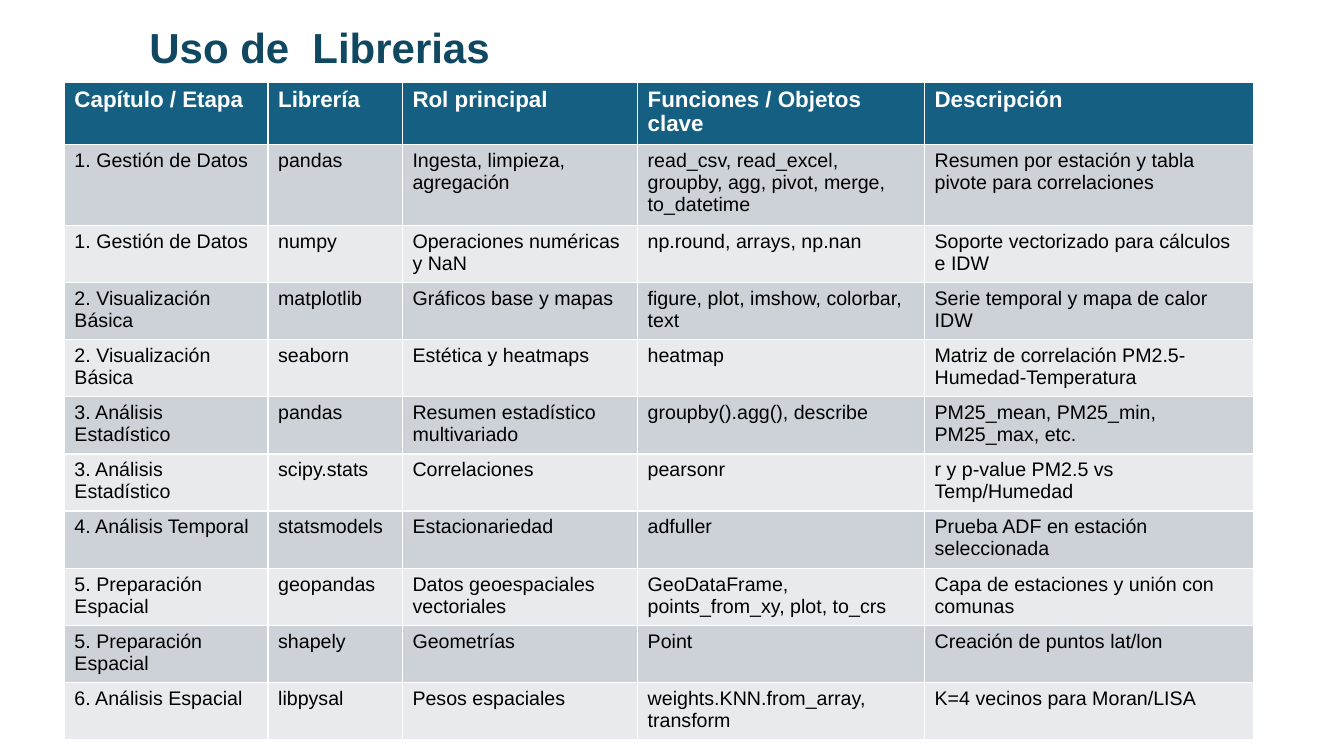
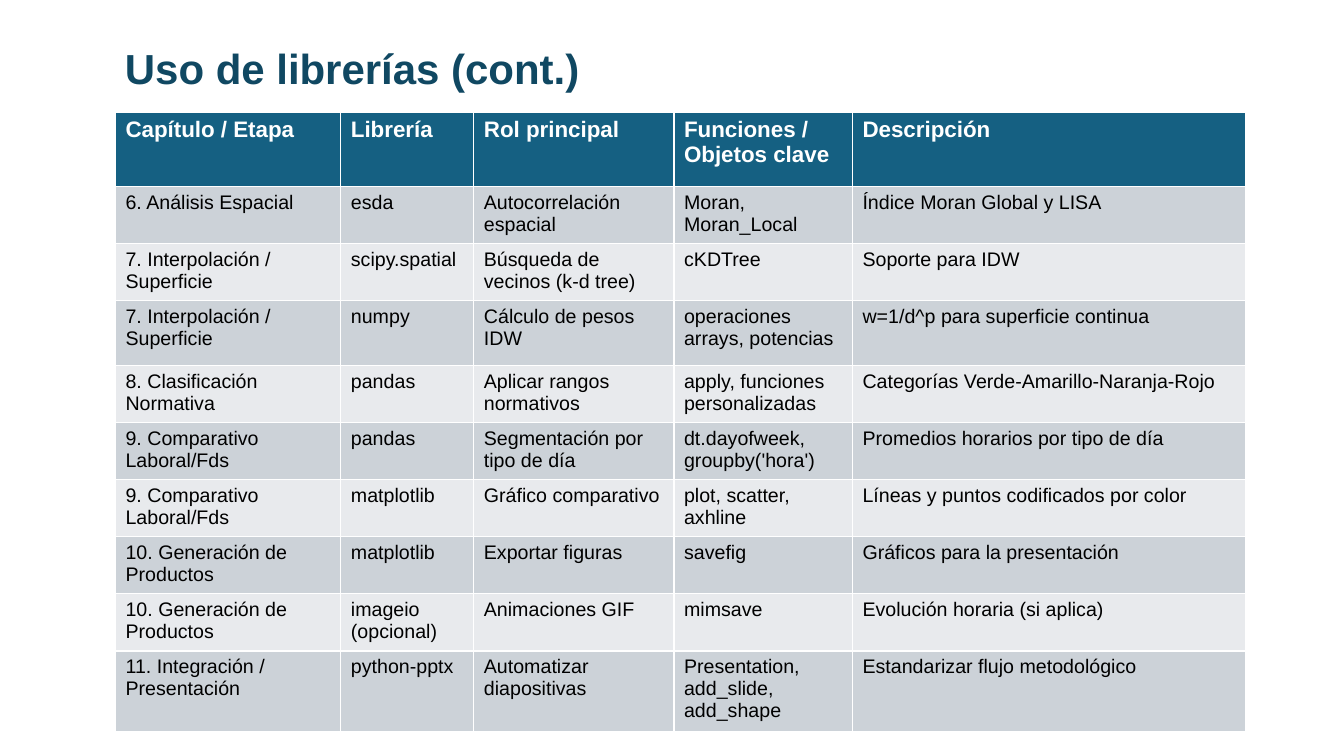
import pptx
import pptx.dml.color
import pptx.enum.text
import pptx.util

Pt = pptx.util.Pt

FONT = "Arial"
COLORS = {
    "title": "104862",
    "header": "156082",
    "odd": "CCD2D8",
    "even": "E8EAED",
    "light": "FFFFFF",
    "dark": "000000",
}
HEADS = ("Capítulo / Etapa", "Librería", "Rol principal",
         "Funciones / Objetos clave", "Descripción")
LINE = 40.8

FIRST = [
    ("1. Gestión de Datos", "pandas", "Ingesta, limpieza, agregación",
     "read_csv, read_excel, groupby, agg, pivot, merge, to_datetime",
     "Resumen por estación y tabla pivote para correlaciones"),
    ("1. Gestión de Datos", "numpy", "Operaciones numéricas y NaN",
     "np.round, arrays, np.nan", "Soporte vectorizado para cálculos e IDW"),
    ("2. Visualización Básica", "matplotlib", "Gráficos base y mapas",
     "figure, plot, imshow, colorbar, text",
     "Serie temporal y mapa de calor IDW"),
    ("2. Visualización Básica", "seaborn", "Estética y heatmaps",
     "heatmap", "Matriz de correlación PM2.5-Humedad-Temperatura"),
    ("3. Análisis Estadístico", "pandas", "Resumen estadístico multivariado",
     "groupby().agg(), describe", "PM25_mean, PM25_min, PM25_max, etc."),
    ("3. Análisis Estadístico", "scipy.stats", "Correlaciones",
     "pearsonr", "r y p-value PM2.5 vs Temp/Humedad"),
    ("4. Análisis Temporal", "statsmodels", "Estacionariedad",
     "adfuller", "Prueba ADF en estación seleccionada"),
    ("5. Preparación Espacial", "geopandas", "Datos geoespaciales vectoriales",
     "GeoDataFrame, points_from_xy, plot, to_crs",
     "Capa de estaciones y unión con comunas"),
    ("5. Preparación Espacial", "shapely", "Geometrías",
     "Point", "Creación de puntos lat/lon"),
    ("6. Análisis Espacial", "libpysal", "Pesos espaciales",
     "weights.KNN.from_array, transform", "K=4 vecinos para Moran/LISA"),
]

SECOND = [
    ("6. Análisis Espacial", "esda", "Autocorrelación espacial",
     "Moran, Moran_Local", "Índice Moran Global y LISA"),
    ("7. Interpolación / Superficie", "scipy.spatial",
     "Búsqueda de vecinos (k-d tree)", "cKDTree", "Soporte para IDW"),
    ("7. Interpolación / Superficie", "numpy", "Cálculo de pesos IDW",
     "operaciones arrays, potencias", "w=1/d^p para superficie continua"),
    ("8. Clasificación Normativa", "pandas", "Aplicar rangos normativos",
     "apply, funciones personalizadas",
     "Categorías Verde-Amarillo-Naranja-Rojo"),
    ("9. Comparativo Laboral/Fds", "pandas", "Segmentación por tipo de día",
     "dt.dayofweek, groupby('hora')", "Promedios horarios por tipo de día"),
    ("9. Comparativo Laboral/Fds", "matplotlib", "Gráfico comparativo",
     "plot, scatter, axhline", "Líneas y puntos codificados por color"),
    ("10. Generación de Productos", "matplotlib", "Exportar figuras",
     "savefig", "Gráficos para la presentación"),
    ("10. Generación de Productos", "imageio (opcional)", "Animaciones GIF",
     "mimsave", "Evolución horaria (si aplica)"),
    ("11. Integración / Presentación", "python-pptx",
     "Automatizar diapositivas", "Presentation, add_slide, add_shape",
     "Estandarizar flujo metodológico"),
]


def tint(name):
    return pptx.dml.color.RGBColor.from_string(COLORS[name])


def style(para, size, color, bold):
    font = para.font
    font.name = FONT
    font.size = Pt(size)
    font.bold = bold
    font.color.rgb = tint(color)
    para.alignment = pptx.enum.text.PP_ALIGN.LEFT


def add_title(slide, text, left, top, width):
    title = slide.shapes.title
    title.left, title.top = Pt(left), Pt(top)
    title.width, title.height = Pt(width), Pt(44)
    frame = title.text_frame
    frame.text = text
    frame.word_wrap = True
    frame.auto_size = pptx.enum.text.MSO_AUTO_SIZE.NONE
    frame.vertical_anchor = pptx.enum.text.MSO_ANCHOR.TOP
    style(frame.paragraphs[0], 30, "title", True)


def fill_cell(cell, text, row):
    head = row == 0
    band = "header" if head else "odd" if row % 2 else "even"
    cell.text = text
    cell.fill.solid()
    cell.fill.fore_color.rgb = tint(band)
    style(cell.text_frame.paragraphs[0], 16 if head else 14,
          "light" if head else "dark", head)


def add_grid(slide, rows, left, top, widths, heights):
    rows = [HEADS, *rows]
    sizes = [heights.get(i, LINE) for i in range(len(rows))]
    table = slide.shapes.add_table(
        len(rows), len(widths), Pt(left), Pt(top),
        Pt(sum(widths)), Pt(sum(sizes))).table
    for col, width in zip(table.columns, widths):
        col.width = Pt(width)
    for i, (texts, size) in enumerate(zip(rows, sizes)):
        table.rows[i].height = Pt(size)
        for j, text in enumerate(texts):
            fill_cell(table.cell(i, j), text, i)


def main():
    deck = pptx.Presentation()
    deck.slide_width, deck.slide_height = Pt(960), Pt(540)
    layout = deck.slide_layouts[5]

    slide = deck.slides.add_slide(layout)
    add_title(slide, "Uso de  Librerias", 99.5, 11.5, 326)
    add_grid(slide, FIRST, 46, 58.5, (145.5, 96, 168, 205, 235),
             {0: 45, 1: 57.6})

    slide = deck.slides.add_slide(layout)
    add_title(slide, "Uso de librerías (cont.)", 82, 26.5, 636)
    add_grid(slide, SECOND, 82.5, 80, (161, 95, 143, 127.5, 281),
             {0: 53, 3: 46.5, 9: 57.6})

    deck.save("out.pptx")


if __name__ == "__main__":
    main()
